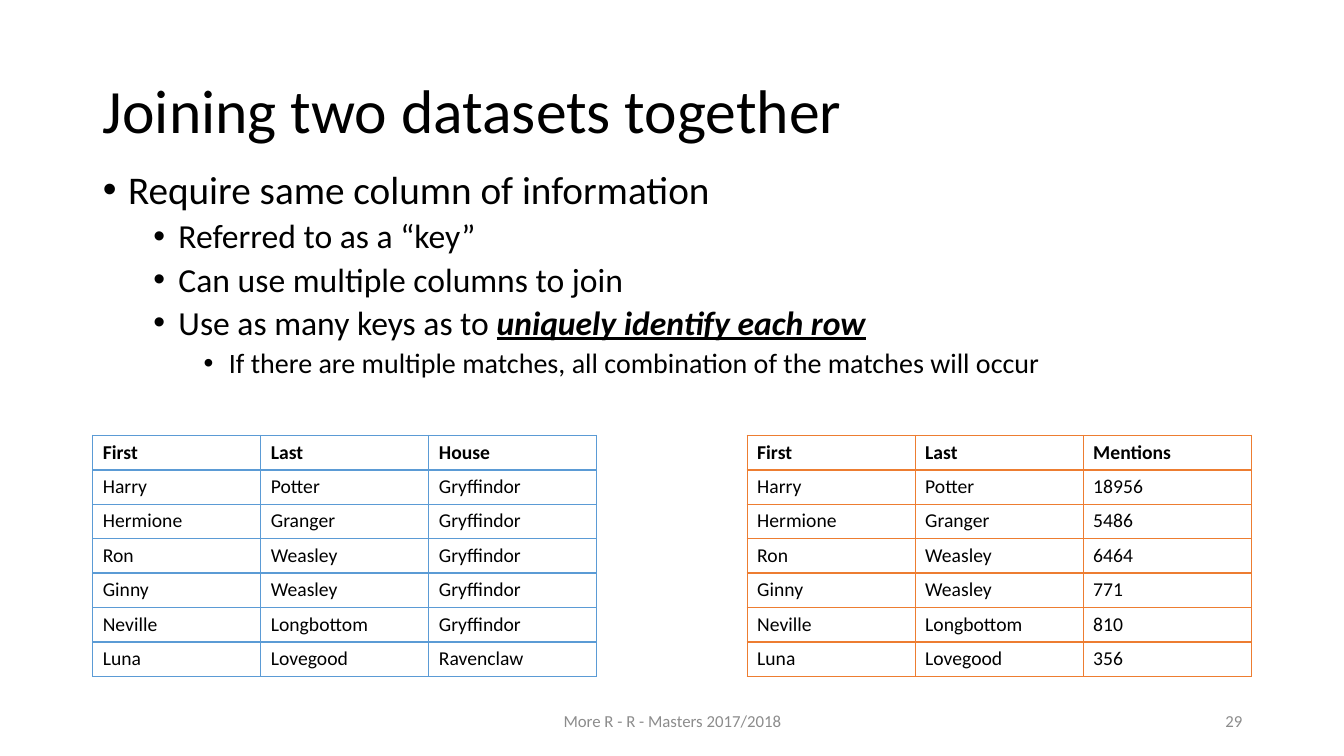
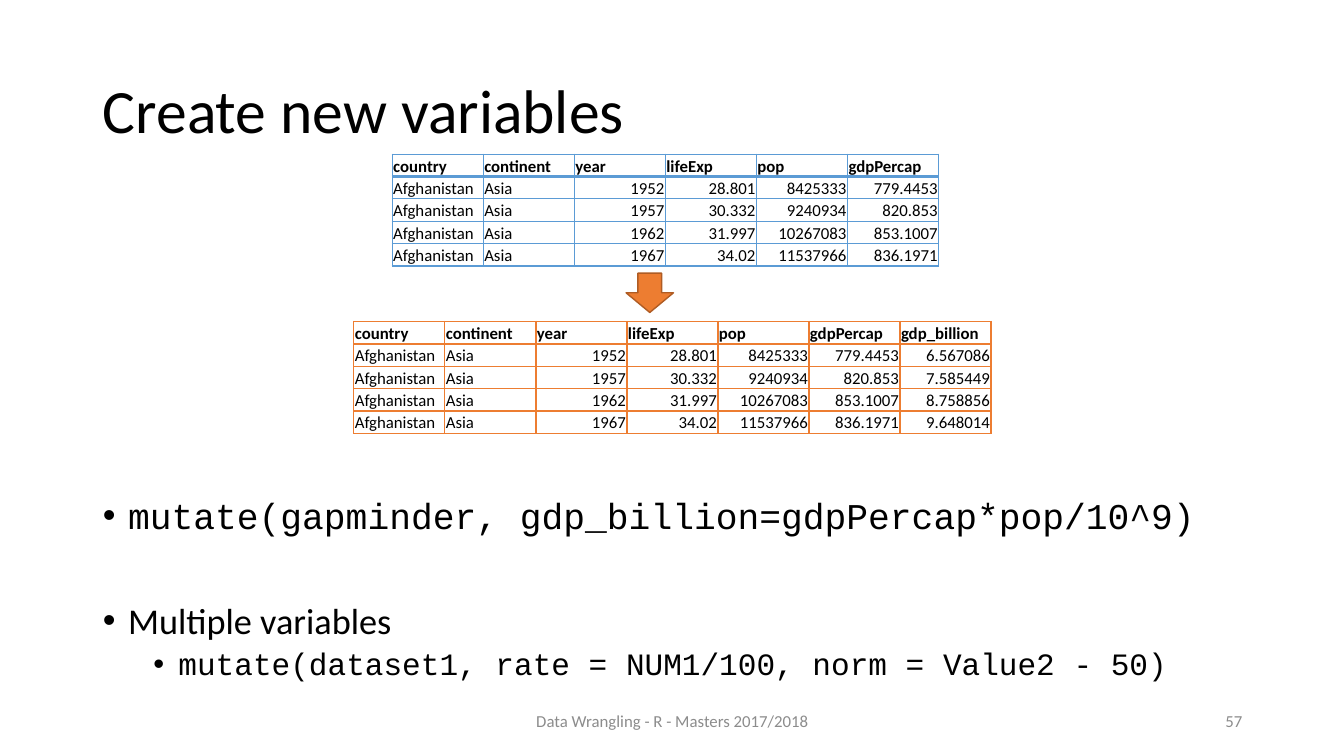
from lxml import etree
from pptx import Presentation
from pptx.dml.color import RGBColor
from pptx.enum.shapes import MSO_SHAPE
from pptx.enum.text import MSO_ANCHOR, MSO_AUTO_SIZE, PP_ALIGN
from pptx.oxml.ns import qn
from pptx.util import Inches, Pt

LEFT, CENTER, RIGHT = PP_ALIGN.LEFT, PP_ALIGN.CENTER, PP_ALIGN.RIGHT
TOP, MIDDLE, BOTTOM = MSO_ANCHOR.TOP, MSO_ANCHOR.MIDDLE, MSO_ANCHOR.BOTTOM
DOWN_ARROW = MSO_SHAPE.DOWN_ARROW

COLORS = {
    "text": "000000",
    "footer": "8C8C8C",
    "blue": "5B9BD5",
    "orange": "ED7D31",
    "arrow line": "AF5C24",
}
SANS, MONO = "Calibri", "Courier New"
TITLE_BOX = (0.92, 0.4, 11.5, 1.45)
FOOTER_BOX = (4.42, 6.95, 4.5, 0.4)
NUMBER_BOX = (9.42, 6.95, 3, 0.4)
EMPHASIS = {"bold": True, "italic": True, "underline": True}
CODE = {"name": MONO}

STUDENTS = [
    ("Harry", "Potter"),
    ("Hermione", "Granger"),
    ("Ron", "Weasley"),
    ("Ginny", "Weasley"),
    ("Neville", "Longbottom"),
    ("Luna", "Lovegood"),
]
HOUSES = ["Gryffindor"] * 5 + ["Ravenclaw"]
MENTIONS = ["18956", "5486", "6464", "771", "810", "356"]

GAPMINDER = [
    ("country", "continent", "year", "lifeExp", "pop", "gdpPercap"),
    ("Afghanistan", "Asia", "1952", "28.801", "8425333", "779.4453"),
    ("Afghanistan", "Asia", "1957", "30.332", "9240934", "820.853"),
    ("Afghanistan", "Asia", "1962", "31.997", "10267083", "853.1007"),
    ("Afghanistan", "Asia", "1967", "34.02", "11537966", "836.1971"),
]
GDP_BILLION = ["gdp_billion", "6.567086", "7.585449", "8.758856", "9.648014"]


def add_column(rows, values):
    return [(*row, value) for row, value in zip(rows, values)]


NAME_ROWS = [("First", "Last"), *STUDENTS]
NAME_TABLE = {"size": 14, "anchor": TOP, "margins": (0.1, 0.05, 0.1, 0.05), "text_columns": 3}
DATA_TABLE = {"size": 12, "anchor": BOTTOM, "margins": (0.01, 0.01, 0.01, 0), "text_columns": 2}

# Each body paragraph: level, space before in points, runs of (text, font changes)
SLIDES = [
    {
        "title": "Joining two datasets together",
        "footer": "More R - R - Masters 2017/2018",
        "number": "29",
        "body_box": (0.92, 1.64, 11.5, 2.39),
        "sizes": (28, 24, 20),
        "body": [
            (0, 0, [("Require same column of information", {})]),
            (1, 5, [("Referred to as a “key”", {})]),
            (1, 5, [("Can use multiple columns to join", {})]),
            (1, 5, [("Use as many keys as to ", {}), ("uniquely identify each row", EMPHASIS)]),
            (2, 5, [("If there are multiple matches, all combination of the matches will occur", {})]),
        ],
        "table_style": NAME_TABLE,
        "tables": [
            ((0.92, 4.32, 5, 2.39), "blue", add_column(NAME_ROWS, ["House", *HOUSES])),
            ((7.41, 4.32, 5, 2.39), "orange", add_column(NAME_ROWS, ["Mentions", *MENTIONS])),
        ],
    },
    {
        "title": "Create new variables",
        "footer": "Data Wrangling - R - Masters 2017/2018",
        "number": "57",
        "body_box": (0.92, 4.89, 11.5, 2.07),
        "sizes": (25.9, 22.2),
        "body": [
            (0, 0, [("mutate(gapminder, gdp_billion=gdpPercap*pop/10^9)", CODE)]),
            (0, 47, [("Multiple variables", {})]),
            (1, 5, [("mutate(dataset1, rate = NUM1/100, norm = Value2 - 50)", CODE)]),
        ],
        "arrow_box": (6.21, 2.71, 0.47, 0.39),
        "table_style": DATA_TABLE,
        "tables": [
            ((3.89, 1.53, 5.42, 1.11), "blue", GAPMINDER),
            ((3.51, 3.19, 6.32, 1.11), "orange", add_column(GAPMINDER, GDP_BILLION)),
        ],
    },
]


def color(name):
    return RGBColor.from_string(COLORS[name])


def inches(box):
    return [Inches(value) for value in box]


def add_run(paragraph, text, size, color_name="text", **changes):
    run = paragraph.add_run()
    run.text = text
    run.font.size = Pt(size)
    run.font.color.rgb = color(color_name)
    for attribute, value in {"name": SANS, "bold": False, **changes}.items():
        setattr(run.font, attribute, value)


def set_up_frame(shape, box, anchor):
    """Place a text shape and return its wrapped, fixed-size text frame."""
    shape.left, shape.top, shape.width, shape.height = inches(box)
    frame = shape.text_frame
    frame.word_wrap = True
    frame.auto_size = MSO_AUTO_SIZE.NONE
    frame.vertical_anchor = anchor
    return frame


def add_bullet(paragraph, level):
    properties = paragraph._p.get_or_add_pPr()
    properties.set("marL", str(Inches(0.25 + 0.5 * level)))
    properties.set("indent", str(Inches(-0.25)))
    etree.SubElement(properties, qn("a:buFont")).set("typeface", "Arial")
    etree.SubElement(properties, qn("a:buChar")).set("char", "•")


def fill_title(slide, text):
    paragraph = set_up_frame(slide.shapes.title, TITLE_BOX, MIDDLE).paragraphs[0]
    paragraph.alignment = LEFT
    paragraph.line_spacing = 0.9
    add_run(paragraph, text, 44)


def fill_body(slide, content):
    frame = set_up_frame(slide.placeholders[1], content["body_box"], TOP)
    for index, (level, space_before, runs) in enumerate(content["body"]):
        paragraph = frame.add_paragraph() if index else frame.paragraphs[0]
        paragraph.level = level
        add_bullet(paragraph, level)
        paragraph.line_spacing = 0.9
        paragraph.space_before = Pt(space_before)
        for text, changes in runs:
            add_run(paragraph, text, content["sizes"][level], **changes)


def add_footer_text(slide, box, text, alignment):
    shape = slide.shapes.add_textbox(*inches(box))
    paragraph = set_up_frame(shape, box, MIDDLE).paragraphs[0]
    paragraph.alignment = alignment
    add_run(paragraph, text, 12, "footer")


def add_borders(cell, color_name, is_header):
    properties = cell._tc.get_or_add_tcPr()
    for side in ("lnL", "lnR", "lnT", "lnB"):
        width = 2 if is_header and side == "lnB" else 1
        line = etree.SubElement(properties, qn(f"a:{side}"), w=str(Pt(width)))
        fill = etree.SubElement(line, qn("a:solidFill"))
        etree.SubElement(fill, qn("a:srgbClr"), val=COLORS[color_name])


def add_data_table(slide, box, color_name, rows, style):
    column_count = len(rows[0])
    table = slide.shapes.add_table(len(rows), column_count, *inches(box)).table
    table.horz_banding = False
    for column in table.columns:
        column.width = Inches(box[2] / column_count)
    for row in table.rows:
        row.height = Inches(box[3] / len(rows))
    for row_index, values in enumerate(rows):
        is_header = row_index == 0
        for column_index, text in enumerate(values):
            cell = table.cell(row_index, column_index)
            add_borders(cell, color_name, is_header)
            cell.fill.background()
            cell.vertical_anchor = style["anchor"]
            for side, margin in zip(("left", "top", "right", "bottom"), style["margins"]):
                setattr(cell, f"margin_{side}", Inches(margin))
            paragraph = cell.text_frame.paragraphs[0]
            is_number = not is_header and column_index >= style["text_columns"]
            paragraph.alignment = RIGHT if is_number else LEFT
            add_run(paragraph, text, style["size"], bold=is_header)


def add_down_arrow(slide, box):
    arrow = slide.shapes.add_shape(DOWN_ARROW, *inches(box))
    arrow.shadow.inherit = False
    arrow.fill.solid()
    arrow.fill.fore_color.rgb = color("orange")
    arrow.line.color.rgb = color("arrow line")
    arrow.line.width = Pt(1)


def build_slide(presentation, content):
    slide = presentation.slides.add_slide(presentation.slide_layouts[1])
    fill_title(slide, content["title"])
    fill_body(slide, content)
    add_footer_text(slide, FOOTER_BOX, content["footer"], CENTER)
    add_footer_text(slide, NUMBER_BOX, content["number"], RIGHT)
    if "arrow_box" in content:
        add_down_arrow(slide, content["arrow_box"])
    for box, color_name, rows in content["tables"]:
        add_data_table(slide, box, color_name, rows, content["table_style"])


def main():
    presentation = Presentation()
    presentation.slide_width = Inches(13.33)
    presentation.slide_height = Inches(7.5)
    for content in SLIDES:
        build_slide(presentation, content)
    presentation.save("out.pptx")


if __name__ == "__main__":
    main()
